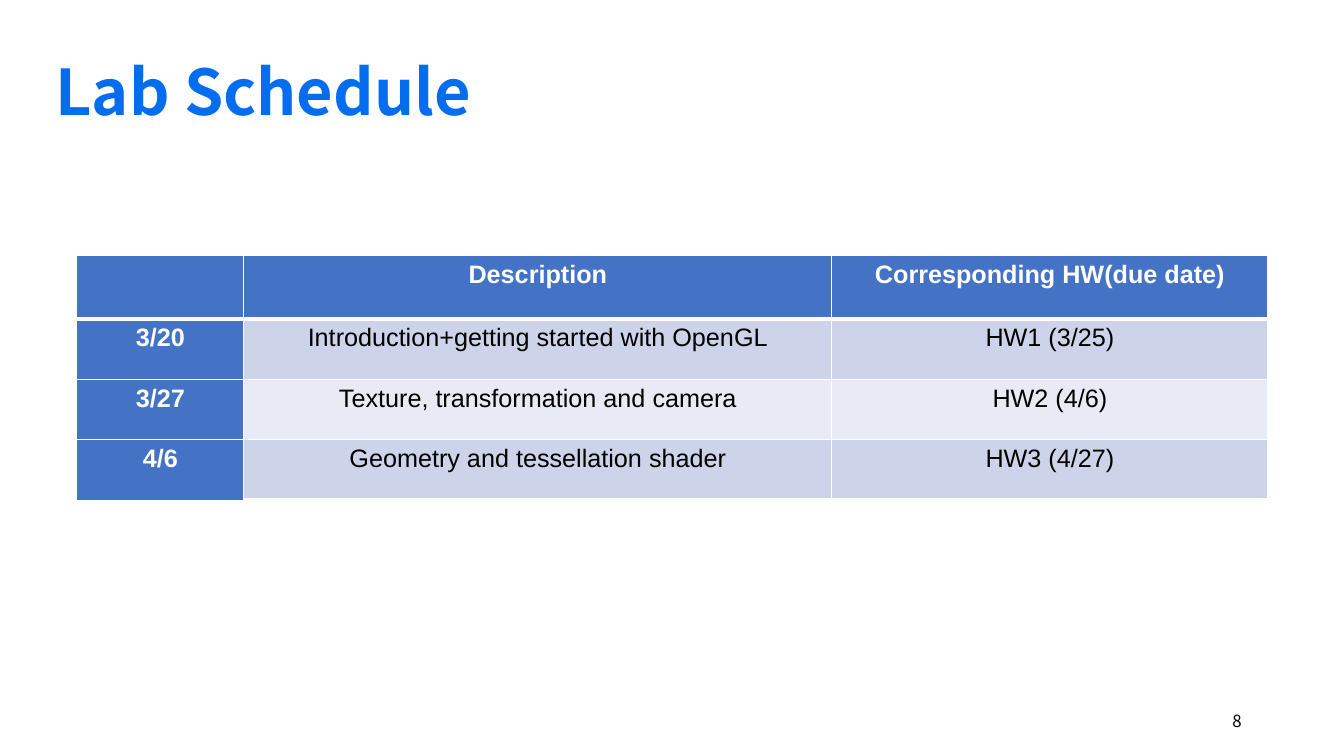
import pptx
import pptx.util
import pptx.dml.color
import pptx.enum.text
import pptx.oxml
import pptx.oxml.ns

Pt = pptx.util.Pt
ALIGN = pptx.enum.text.PP_ALIGN
ANCHOR = pptx.enum.text.MSO_ANCHOR

COLORS = {
    "title": "026DEE",
    "header": "4472C4",
    "odd_row": "CDD4EA",
    "even_row": "E8EBF5",
    "light": "FFFFFF",
    "dark": "000000",
}

SCHEDULE = [
    ["", "Description", "Corresponding HW(due date)"],
    ["3/20", "Introduction+getting started with OpenGL", "HW1 (3/25)"],
    ["3/27", "Texture, transformation and camera", "HW2 (4/6)"],
    ["4/6", "Geometry and tessellation shader", "HW3 (4/27)"],
]


class SlideBuilder:
    heading_font = "Noto Sans CJK KR"
    table_font = "Arial"
    table_size = 18

    def __init__(self, deck):
        self.slide = deck.slides.add_slide(deck.slide_layouts[6])

    def color(self, name):
        return pptx.dml.color.RGBColor.from_string(COLORS[name])

    def format_text(self, frame, font, size, color, bold, align):
        para = frame.paragraphs[0]
        para.alignment = align
        para.font.size = Pt(size)
        for span in para.runs:
            span.font.name = font
            span.font.size = Pt(size)
            span.font.bold = bold
            span.font.color.rgb = self.color(color)

    def text(self, words, left, top, width, height, size, color,
             bold=False, align=ALIGN.LEFT, anchor=ANCHOR.TOP, inset=7.2):
        box = self.slide.shapes.add_textbox(Pt(left), Pt(top), Pt(width), Pt(height))
        frame = box.text_frame
        frame.word_wrap = True
        frame.vertical_anchor = anchor
        frame.margin_left = Pt(inset)
        frame.text = words
        self.format_text(frame, self.heading_font, size, color, bold, align)

    def border(self, cell, side, width):
        line = pptx.oxml.parse_xml(
            f'<a:ln{side} {pptx.oxml.ns.nsdecls("a")} w="{Pt(width)}">'
            f'<a:solidFill><a:srgbClr val="{COLORS["light"]}"/></a:solidFill>'
            f'</a:ln{side}>'
        )
        cell._tc.get_or_add_tcPr().append(line)

    def table(self, rows, left, top, widths, heights):
        frame = self.slide.shapes.add_table(
            len(rows), len(widths), Pt(left), Pt(top), Pt(sum(widths)), Pt(sum(heights)))
        grid = frame.table
        for column, width in zip(grid.columns, widths):
            column.width = Pt(width)
        for row, height in zip(grid.rows, heights):
            row.height = Pt(height)
        last = len(rows) - 1
        for r, values in enumerate(rows):
            for c, value in enumerate(values):
                cell = grid.cell(r, c)
                is_header = r == 0 or c == 0
                thick_bottom = r == 0 or (r == last and c > 0)
                for side, width in (("L", 1), ("R", 1), ("T", 3 if r == 1 else 1),
                                    ("B", 3 if thick_bottom else 1)):
                    self.border(cell, side, width)
                band = "odd_row" if r % 2 else "even_row"
                cell.fill.solid()
                cell.fill.fore_color.rgb = self.color("header" if is_header else band)
                cell.text_frame.text = value
                self.format_text(cell.text_frame, self.table_font, self.table_size,
                                 "light" if is_header else "dark", is_header, ALIGN.CENTER)


def main():
    deck = pptx.Presentation()
    deck.slide_width = Pt(960)
    deck.slide_height = Pt(540)
    page = SlideBuilder(deck)
    page.text("8", 678, 500.5, 216, 28.75, 12, "dark",
              align=ALIGN.RIGHT, anchor=ANCHOR.MIDDLE)
    page.text("Lab Schedule", 12.24, 33.84, 954.72, 61.92, 45, "title",
              bold=True, inset=27.4)
    page.table(SCHEDULE, 54.9, 182.5, [119.3, 420, 311.6], [45.2] + [43.2] * 3)
    deck.save("out.pptx")


if __name__ == "__main__":
    main()
